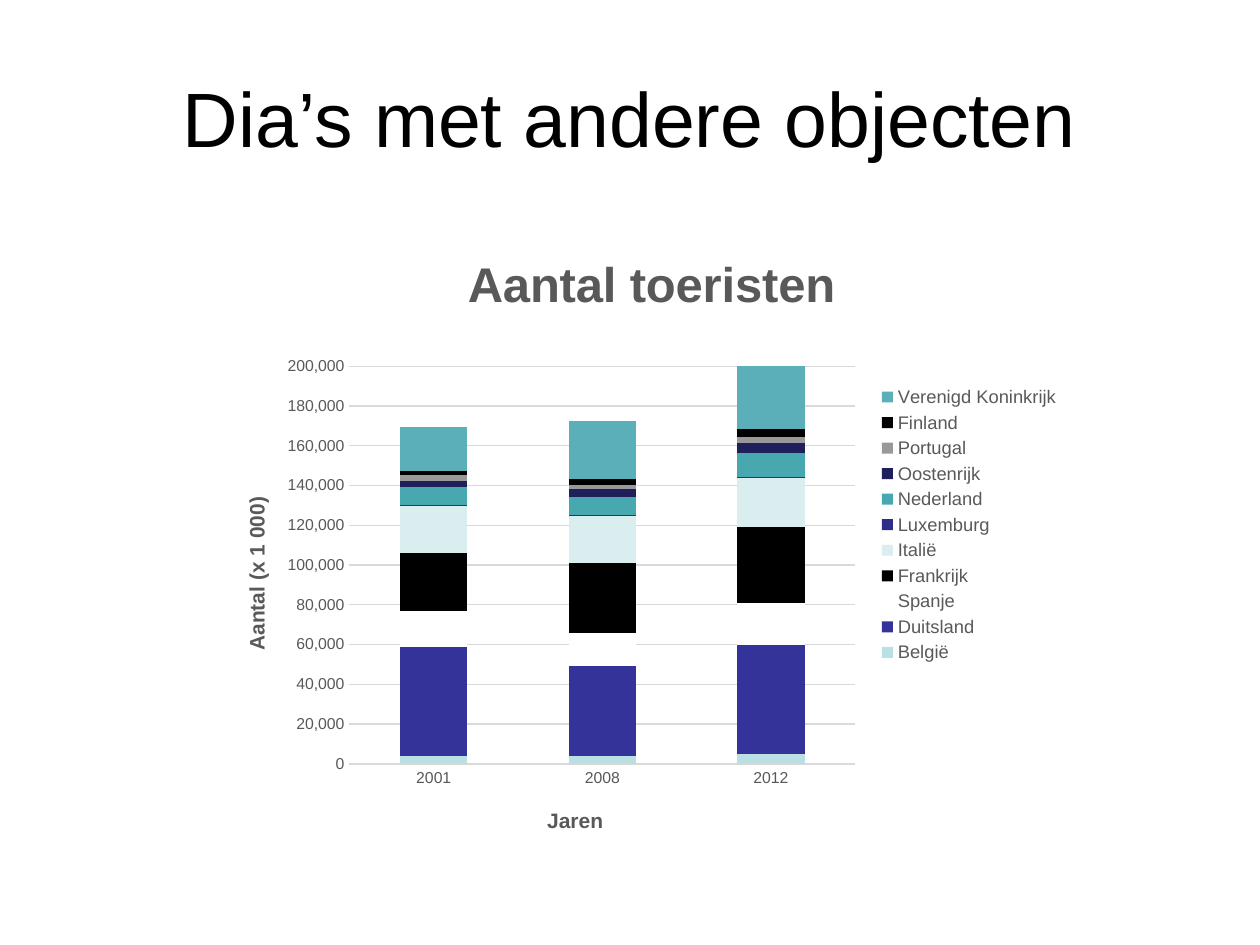
import pptx
import pptx.chart.data
import pptx.dml.color
import pptx.enum.chart
import pptx.enum.text
import pptx.oxml
import pptx.oxml.ns
import pptx.util
from pptx.dml.color import RGBColor
from pptx.util import Inches

BLACK = RGBColor(0x00, 0x00, 0x00)
TEXT_GRAY = RGBColor(0x59, 0x59, 0x59)
GRID_GRAY = RGBColor(0xD9, 0xD9, 0xD9)
FONT_NAME = "Arial"
YEARS = ["2001", "2008", "2012"]
COUNTRIES = [
    ("België", (4000, 4000, 5000), RGBColor(0xBB, 0xE0, 0xE3)),
    ("Duitsland", (55000, 45000, 55000), RGBColor(0x33, 0x33, 0x99)),
    ("Spanje", (18000, 17000, 21000), RGBColor(0xFF, 0xFF, 0xFF)),
    ("Frankrijk", (29000, 35000, 38000), BLACK),
    ("Italië", (24000, 24000, 25000), RGBColor(0xDA, 0xED, 0xEF)),
    ("Luxemburg", (400, 400, 400), RGBColor(0x2D, 0x2D, 0x8A)),
    ("Nederland", (9000, 9000, 12000), RGBColor(0x48, 0xA8, 0xB0)),
    ("Oostenrijk", (3000, 4000, 5000), RGBColor(0x1F, 0x1F, 0x5C)),
    ("Portugal", (3000, 2000, 3000), RGBColor(0x99, 0x99, 0x99)),
    ("Finland", (2000, 3000, 4000), BLACK),
    ("Verenigd Koninkrijk", (22000, 29000, 34000), RGBColor(0x5A, 0xAF, 0xB8)),
]


def style_font(font, size, color, bold=False):
    font.name = FONT_NAME
    font.size = pptx.util.Pt(size)
    font.bold = bold
    font.color.rgb = color


def place(element, x, y, w=None, h=None):
    for old_layout in element.xpath("c:layout"):
        element.remove(old_layout)
    target = '<c:layoutTarget val="inner"/>' if element.tag.endswith("plotArea") else ""
    modes = '<c:xMode val="edge"/><c:yMode val="edge"/>'
    numbers = "".join(
        f'<c:{key} val="{value}"/>'
        for key, value in (("x", x), ("y", y), ("w", w), ("h", h))
        if value is not None
    )
    layout = pptx.oxml.parse_xml(
        f'<c:layout {pptx.oxml.ns.nsdecls("c")}><c:manualLayout>'
        f"{target}{modes}{numbers}</c:manualLayout></c:layout>"
    )
    element.insert(len(element.xpath("c:tx | c:legendPos")), layout)


deck = pptx.Presentation()
deck.slide_width = Inches(10)
deck.slide_height = Inches(7.5)
page = deck.slides.add_slide(deck.slide_layouts[5])

title = page.shapes.title
title.left, title.top = Inches(0.5), Inches(0.3)
title.width, title.height = Inches(9), Inches(1.25)
title.text_frame.text = "Dia’s met andere objecten"
title.text_frame.vertical_anchor = pptx.enum.text.MSO_ANCHOR.MIDDLE
title_para = title.text_frame.paragraphs[0]
title_para.alignment = pptx.enum.text.PP_ALIGN.CENTER
style_font(title_para.runs[0].font, 44, BLACK)

tourists = pptx.chart.data.CategoryChartData(number_format="#,##0")
tourists.categories = YEARS
for country, counts, color in COUNTRIES:
    tourists.add_series(country, counts)
chart = page.shapes.add_chart(
    pptx.enum.chart.XL_CHART_TYPE.COLUMN_STACKED,
    Inches(1.77), Inches(1.7), Inches(6.69), Inches(4.96), tourists,
).chart
style_font(chart.font, 10, BLACK)

plot = chart.plots[0]
plot.gap_width = 150
plot.overlap = 100
plot.vary_by_categories = False
for series, (country, counts, color) in zip(plot.series, COUNTRIES):
    series.format.fill.solid()
    series.format.fill.fore_color.rgb = color
    series.format.line.fill.background()

year_axis, count_axis = chart.category_axis, chart.value_axis
for axis in (year_axis, count_axis):
    axis.major_tick_mark = pptx.enum.chart.XL_TICK_MARK.NONE
    axis.minor_tick_mark = pptx.enum.chart.XL_TICK_MARK.NONE
    axis.format.line.fill.background()
    style_font(axis.tick_labels.font, 9, TEXT_GRAY)
count_axis.minimum_scale = 0
count_axis.maximum_scale = 200000
count_axis.major_unit = 20000
count_axis.tick_labels.number_format = "#,##0"
count_axis.tick_labels.number_format_is_linked = False
count_axis.has_major_gridlines = True
count_axis.major_gridlines.format.line.color.rgb = GRID_GRAY
count_axis.major_gridlines.format.line.width = pptx.util.Pt(0.75)

chart.has_title = True
for heading, words, size, x, y in (
    (chart.chart_title, "Aantal toeristen", 28, 0.28, 0.05),
    (year_axis.axis_title, "Jaren", 12, 0.38, 0.95),
    (count_axis.axis_title, "Aantal (x 1 000)", 12, 0.02, 0.45),
):
    heading.text_frame.text = words
    style_font(heading.text_frame.paragraphs[0].runs[0].font, size, TEXT_GRAY, True)
    place(heading._element, x, y)
count_axis.axis_title.text_frame._txBody.bodyPr.set("rot", "-5400000")

chart.has_legend = True
chart.legend.position = pptx.enum.chart.XL_LEGEND_POSITION.RIGHT
chart.legend.include_in_layout = False
style_font(chart.legend.font, 10.5, TEXT_GRAY)
place(chart.legend._element, 0.77, 0.27, 0.23, 0.46)
place(chart._chartSpace.xpath("c:chart/c:plotArea")[0], 0.15, 0.245, 0.6, 0.64)

deck.save("out.pptx")
